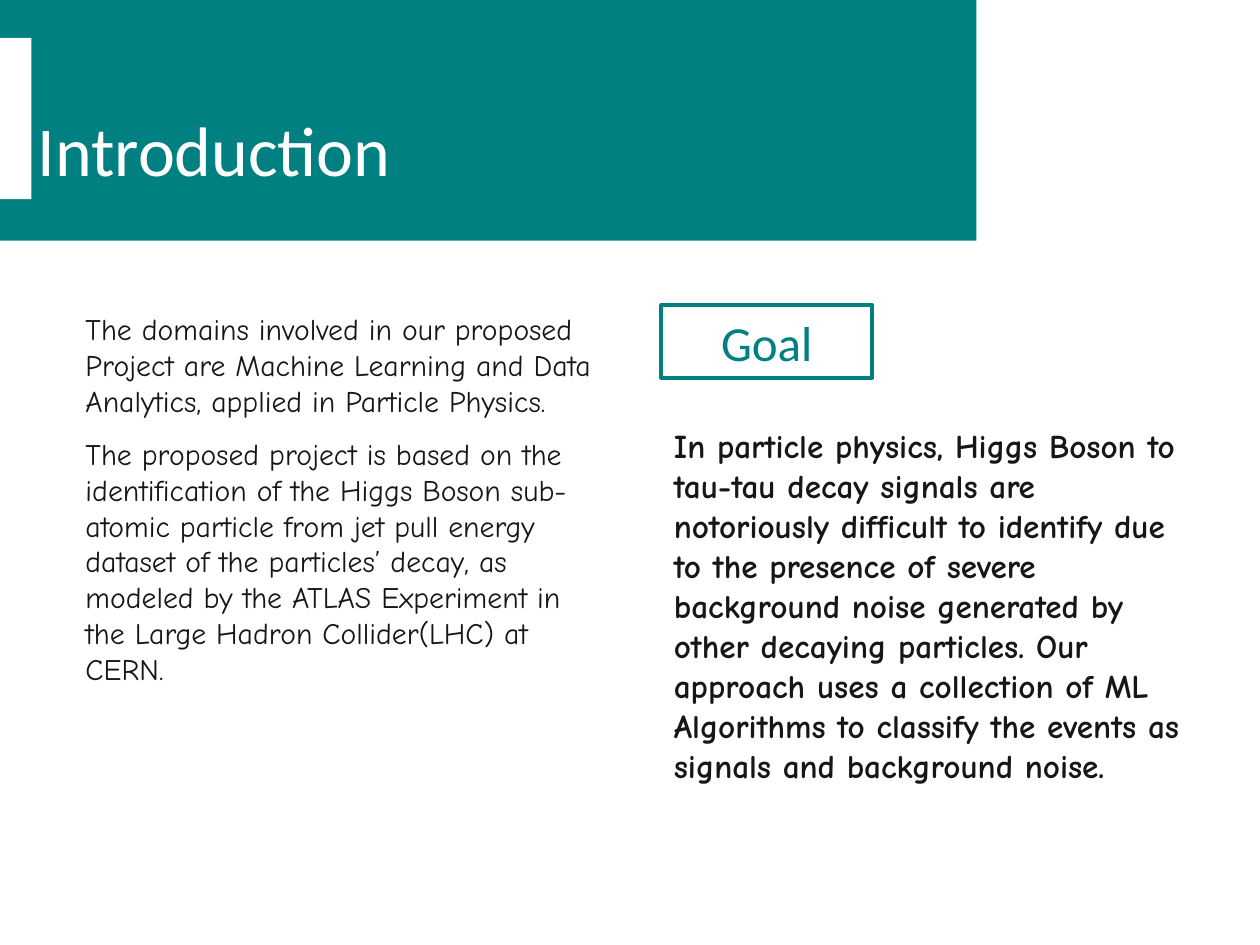
from typing import NamedTuple

from pptx import Presentation
from pptx.dml.color import RGBColor
from pptx.enum.shapes import MSO_SHAPE
from pptx.enum.text import MSO_ANCHOR, MSO_AUTO_SIZE, PP_ALIGN
from pptx.util import Inches, Pt

TEAL = RGBColor(0x00, 0x80, 0x80)
WHITE = RGBColor(0xFF, 0xFF, 0xFF)
INK = RGBColor(0x16, 0x16, 0x16)
HEADING_FONT = "Calibri"
BODY_FONT = "Comic Neue"


class Box(NamedTuple):
    left: float
    top: float
    width: float
    height: float

    def lengths(self) -> list:
        return [Inches(value) for value in self]


class Column(NamedTuple):
    box: Box
    paragraphs: list[str]
    size: int
    bold: bool = False


COLUMNS = [
    Column(
        Box(0.58, 2.42, 4.25, 4.67),
        [
            "The domains involved in our proposed Project are Machine Learning "
            "and Data Analytics, applied in Particle Physics.",
            "The proposed project is based on the identification of the Higgs "
            "Boson sub-atomic particle from jet pull energy dataset of the "
            "particles’ decay, as modeled by the ATLAS Experiment in the Large "
            "Hadron Collider(LHC) at CERN.",
        ],
        size=17,
    ),
    Column(
        Box(5.25, 3.33, 4.25, 3.33),
        [
            "In particle physics, Higgs Boson to tau-tau decay signals are "
            "notoriously difficult to identify due to the presence of severe "
            "background noise generated by other decaying particles. Our "
            "approach uses a collection of ML Algorithms to classify the events "
            "as signals and background noise.",
        ],
        size=19,
        bold=True,
    ),
]


def set_font(paragraph, name: str, size: int, color: RGBColor, bold: bool = False) -> None:
    font = paragraph.font
    font.name, font.size, font.bold = name, Pt(size), bold
    font.color.rgb = color


def format_title(title) -> None:
    title.left, title.top, title.width, title.height = Box(0, -0.01, 7.75, 1.92).lengths()
    title.fill.solid()
    title.fill.fore_color.rgb = TEAL
    frame = title.text_frame
    frame.text = "Introduction"
    frame.word_wrap = True
    frame.auto_size = MSO_AUTO_SIZE.NONE
    frame.vertical_anchor = MSO_ANCHOR.BOTTOM
    frame.margin_left, frame.margin_right = Inches(0.3), Inches(0.1)
    frame.margin_top, frame.margin_bottom = Inches(0), Inches(0.4)
    heading = frame.paragraphs[0]
    heading.alignment = PP_ALIGN.LEFT
    heading.line_spacing = 0.8
    set_font(heading, HEADING_FONT, 40, WHITE)


def add_column(slide, column: Column) -> None:
    frame = slide.shapes.add_textbox(*column.box.lengths()).text_frame
    frame.word_wrap = True
    for index, text in enumerate(column.paragraphs):
        paragraph = frame.add_paragraph() if index else frame.paragraphs[0]
        paragraph.text = text
        if index:
            paragraph.space_before = Pt(round(0.6 * column.size, 1))
        set_font(paragraph, BODY_FONT, column.size, INK, column.bold)


def add_rectangle(slide, box: Box):
    rectangle = slide.shapes.add_shape(MSO_SHAPE.RECTANGLE, *box.lengths())
    rectangle.shadow.inherit = False
    return rectangle


def add_goal_label(slide) -> None:
    label = add_rectangle(slide, Box(5.25, 2.42, 1.67, 0.58))
    label.fill.background()
    label.line.color.rgb = TEAL
    label.line.width = Pt(2.25)
    frame = label.text_frame
    frame.text = "Goal"
    frame.vertical_anchor = MSO_ANCHOR.MIDDLE
    frame.paragraphs[0].alignment = PP_ALIGN.CENTER
    set_font(frame.paragraphs[0], HEADING_FONT, 28, TEAL)


def add_title_notch(slide) -> None:
    notch = add_rectangle(slide, Box(0, 0.3, 0.25, 1.28))
    notch.fill.solid()
    notch.fill.fore_color.rgb = WHITE
    notch.line.fill.background()


def main() -> None:
    presentation = Presentation()
    presentation.slide_width, presentation.slide_height = Inches(10), Inches(7.5)
    slide = presentation.slides.add_slide(presentation.slide_layouts[5])
    format_title(slide.shapes.title)
    for column in COLUMNS:
        add_column(slide, column)
    add_goal_label(slide)
    add_title_notch(slide)
    presentation.save("out.pptx")


if __name__ == "__main__":
    main()
